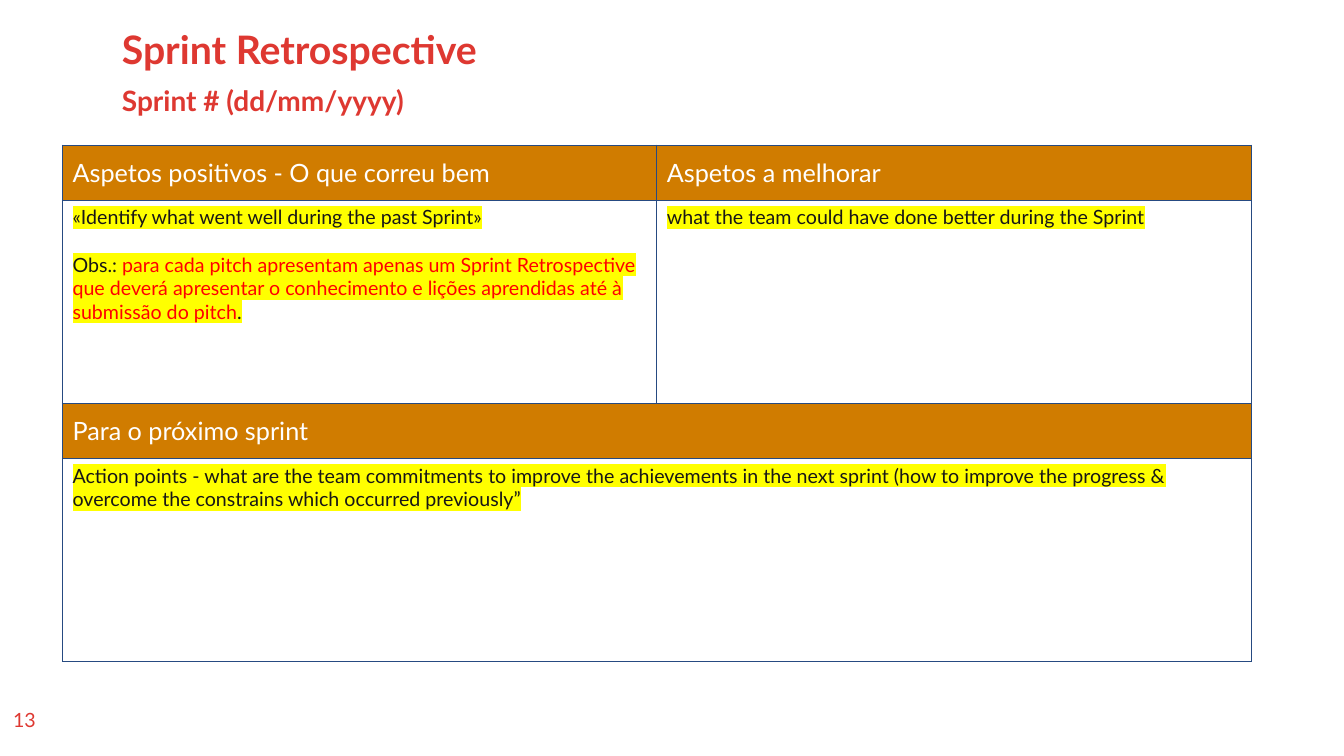
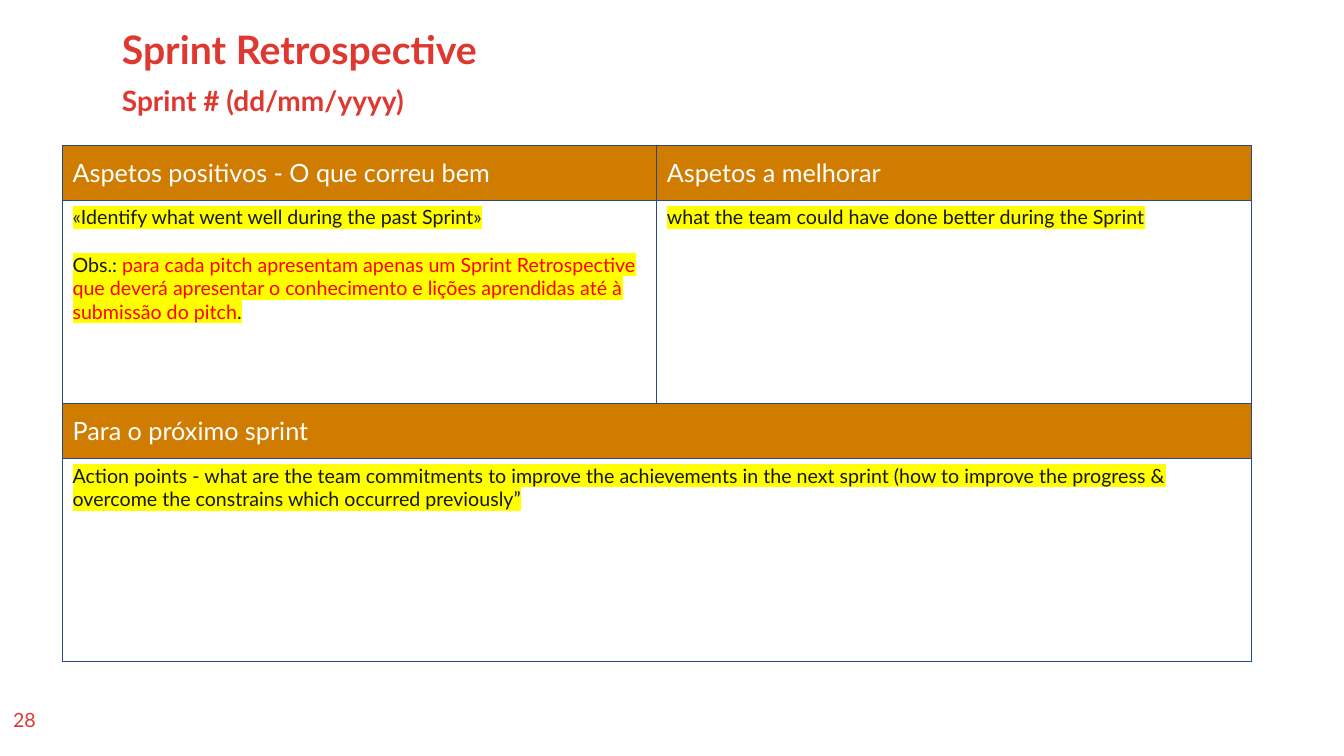
from lxml.etree import SubElement
from pptx import Presentation
from pptx.dml.color import RGBColor
from pptx.enum.text import MSO_ANCHOR, PP_ALIGN
from pptx.oxml.ns import qn
from pptx.util import Inches, Pt

FONT = "Lato"
COLORS = {
    "title": "DE3831",
    "header": "D07C00",
    "paper": "FFFFFF",
    "ink": "181717",
    "alert": "FF0000",
    "marker": "FFFF00",
    "border": "264A81",
}
COLS, ROWS = 120, 90

POSITIVES = [
    [("«Identify what went well during the past Sprint»", "ink")],
    [
        ("Obs.: ", "ink"),
        ("para cada pitch apresentam apenas um Sprint Retrospective que deverá "
         "apresentar o conhecimento e lições aprendidas até à submissão do pitch", "alert"),
        (".", "ink"),
    ],
]
IMPROVEMENTS = [[("what the team could have done better during the Sprint", "ink")]]
ACTIONS = [[("Action points - what are the team commitments to improve the achievements "
             "in the next sprint (how to improve the progress & overcome the constrains "
             "which occurred previously”", "ink")]]
SECTIONS = [
    [("Aspetos positivos - O que correu bem", POSITIVES),
     ("Aspetos a melhorar", IMPROVEMENTS)],
    [("Para o próximo sprint", ACTIONS)],
]


class Deck:
    """Holds the shared style and the current slide."""

    def __init__(self):
        self.prs = Presentation()
        self.prs.slide_width, self.prs.slide_height = Inches(13.33), Inches(7.5)
        self.s = None

    def x(self, cols):
        return round(self.prs.slide_width * cols / COLS)

    def y(self, rows):
        return round(self.prs.slide_height * rows / ROWS)

    def box(self, left, top, width, height):
        return self.x(left), self.y(top), self.x(width), self.y(height)

    def slide(self):
        self.s = self.prs.slides.add_slide(self.prs.slide_layouts[6])
        fill = self.s.background.fill
        fill.solid()
        fill.fore_color.rgb = RGBColor.from_string(COLORS["paper"])

    def run(self, p, text, size, color, bold=False, marker=None):
        r = p.add_run()
        r.text = text
        r.font.size, r.font.bold, r.font.name = Pt(size), bold, FONT
        r.font.color.rgb = RGBColor.from_string(COLORS[color])
        if marker:
            rPr = r.font._element
            highlight = SubElement(rPr, qn("a:highlight"))
            SubElement(highlight, qn("a:srgbClr"), val=COLORS[marker])
            rPr.find(qn("a:solidFill")).addnext(highlight)

    def text(self, place, text, size, bold=False, align=PP_ALIGN.LEFT, spacing=1.0):
        tf = self.s.shapes.add_textbox(*self.box(*place)).text_frame
        tf.word_wrap = True
        p = tf.paragraphs[0]
        p.alignment, p.line_spacing = align, spacing
        self.run(p, text, size, "title", bold)

    def heading(self, title, subtitle):
        self.text((10, 3, 93.7, 5.4), title, 28, bold=True, spacing=0.9)
        self.text((10, 9.84, 93.7, 5.04), subtitle, 20, bold=True, spacing=0.9)

    def number(self, value):
        self.text((0.09, 83.64, 4.2, 4.8), str(value), 14, align=PP_ALIGN.CENTER)

    def cell(self, cell, paragraphs, size, fill, anchor, marker=None):
        cell.fill.solid()
        cell.fill.fore_color.rgb = RGBColor.from_string(COLORS[fill])
        cell.vertical_anchor = anchor
        tf = cell.text_frame
        for i, runs in enumerate(paragraphs):
            p = tf.add_paragraph() if i else tf.paragraphs[0]
            if i:
                p.space_before = Pt(size * 1.2)
            for text, color in runs:
                self.run(p, text, size, color, marker=marker)

    def borders(self, cell):
        tcPr = cell._tc.get_or_add_tcPr()
        for i, side in enumerate(("lnL", "lnR", "lnT", "lnB")):
            ln = SubElement(tcPr, qn(f"a:{side}"), w=str(Pt(1)))
            SubElement(SubElement(ln, qn("a:solidFill")), qn("a:srgbClr"), val=COLORS["border"])
            tcPr.insert(i, ln)

    def sections(self, sections):
        heights = (6.6, 24.15) * len(sections)
        frame = self.s.shapes.add_table(
            len(heights), 2, *self.box(5.58, 17.28, 106.14, sum(heights)))
        table = frame.table
        table.first_row = table.horz_banding = False
        for row, height in zip(table.rows, heights):
            row.height = self.y(height)
        for i, section in enumerate(sections):
            head, body = 2 * i, 2 * i + 1
            if len(section) == 1:
                for row in (head, body):
                    table.cell(row, 0).merge(table.cell(row, 1))
            for col, (title, paragraphs) in enumerate(section):
                self.cell(table.cell(head, col), [[(title, "paper")]], 18,
                          "header", MSO_ANCHOR.MIDDLE)
                self.cell(table.cell(body, col), paragraphs, 14,
                          "paper", MSO_ANCHOR.TOP, "marker")
        for cell in table.iter_cells():
            self.borders(cell)


def main():
    deck = Deck()
    for number in (13, 28):
        deck.slide()
        deck.heading("Sprint Retrospective", "Sprint # (dd/mm/yyyy)")
        deck.number(number)
        deck.sections(SECTIONS)
    deck.prs.save("out.pptx")


if __name__ == "__main__":
    main()
